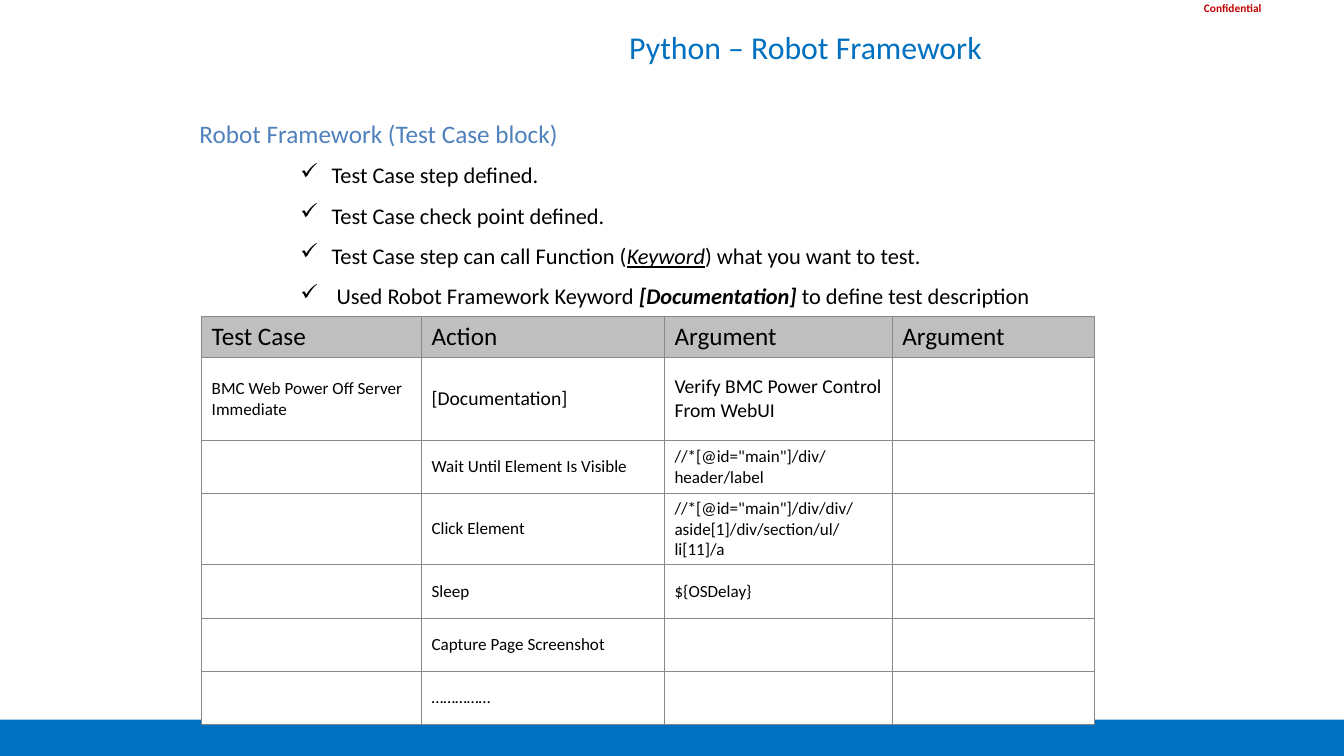
from lxml import etree
from pptx import Presentation
from pptx.dml.color import RGBColor
from pptx.enum.shapes import MSO_SHAPE
from pptx.enum.text import MSO_ANCHOR, PP_ALIGN
from pptx.oxml.ns import qn
from pptx.util import Inches, Pt

RECTANGLE = MSO_SHAPE.RECTANGLE
MIDDLE = MSO_ANCHOR.MIDDLE
CENTER = PP_ALIGN.CENTER
COLORS = {
    "blue": "0070C0",
    "heading": "4F81BD",
    "red": "C00000",
    "black": "000000",
    "white": "FFFFFF",
    "header": "BFBFBF",
    "border": "888888",
}


def rgb(name):
    return RGBColor.from_string(COLORS[name])


def write(paragraph, text, size=12.2, color="black", bold=False, italic=False, underline=False):
    run = paragraph.add_run()
    run.text = text
    font = run.font
    font.name = "Calibri"
    font.size = Pt(size)
    font.color.rgb = rgb(color)
    font.bold = bold
    font.italic = italic
    font.underline = underline


prs = Presentation()
prs.slide_width = Inches(13.33)
prs.slide_height = Inches(7.5)
slide = prs.slides.add_slide(prs.slide_layouts[6])
shapes = slide.shapes

footer = shapes.add_shape(RECTANGLE, Inches(-0.03), Inches(7.14), Inches(13.38), Inches(0.4))
footer.shadow.inherit = False
footer.fill.solid()
footer.fill.fore_color.rgb = rgb("blue")
footer.line.fill.background()

label = shapes.add_textbox(Inches(11.87), Inches(-0.02), Inches(1.41), Inches(0.21)).text_frame
label.word_wrap = True
label.margin_left = label.margin_right = Inches(0.07)
label.margin_top = label.margin_bottom = Inches(0.03)
write(label.paragraphs[0], "Confidential", size=8.1, color="red", bold=True)

body = shapes.add_textbox(Inches(1.88), Inches(0.97), Inches(9.82), Inches(2.17)).text_frame
body.word_wrap = True
heading = body.paragraphs[0]
heading.line_spacing = 1.5
write(heading, "Robot Framework (Test Case block)", size=18, color="heading")

points = [
    [("Test Case step defined.", {})],
    [("Test Case check point defined.", {})],
    [
        ("Test Case step can call Function (", {}),
        ("Keyword", {"italic": True, "underline": True}),
        (") what you want to test.", {}),
    ],
    [
        (" Used Robot Framework Keyword ", {}),
        ("[Documentation] ", {"bold": True, "italic": True}),
        ("to define test description", {}),
    ],
]
for point in points:
    paragraph = body.add_paragraph()
    paragraph.level = 2
    paragraph.line_spacing = 1.5
    properties = paragraph._p.get_or_add_pPr()
    properties.set("marL", str(Inches(1.31)))
    properties.set("indent", str(Inches(-0.31)))
    etree.SubElement(properties, qn("a:buChar"), char="✓")
    for text, style in point:
        write(paragraph, text, size=16, **style)

column_widths = [2.18, 2.41, 2.26, 2]
row_heights = [0.4, 0.83, 0.52, 0.71, 0.53, 0.53, 0.53]
steps = [
    ["Test Case", "Action", "Argument", "Argument"],
    ["BMC Web Power Off Server Immediate", "[Documentation]", "Verify BMC Power Control From WebUI", ""],
    ["", "Wait Until Element Is Visible", '//*[@id="main"]/div/header/label', ""],
    ["", "Click Element", '//*[@id="main"]/div/div/aside[1]/div/section/ul/li[11]/a', ""],
    ["", "Sleep", "${OSDelay}", ""],
    ["", "Capture Page Screenshot", "", ""],
    ["", "……………", "", ""],
]
table = shapes.add_table(
    len(steps), len(column_widths), Inches(2), Inches(3.14),
    Inches(sum(column_widths)), Inches(sum(row_heights)),
).table
table.first_row = False
table.horz_banding = False
for column, width in zip(table.columns, column_widths):
    column.width = Inches(width)
for row, height in zip(table.rows, row_heights):
    row.height = Inches(height)

for r, step in enumerate(steps):
    for c, text in enumerate(step):
        cell = table.cell(r, c)
        cell.vertical_anchor = MIDDLE
        cell_properties = cell._tc.get_or_add_tcPr()
        for side in ("a:lnL", "a:lnR", "a:lnT", "a:lnB"):
            border = etree.SubElement(cell_properties, qn(side), w=str(Pt(0.6)))
            border_fill = etree.SubElement(border, qn("a:solidFill"))
            etree.SubElement(border_fill, qn("a:srgbClr"), val=COLORS["border"])
        cell.fill.solid()
        cell.fill.fore_color.rgb = rgb("header" if r == 0 else "white")
        if text:
            size = 18 if r == 0 else 14 if r == 1 and c > 0 else 12.2
            write(cell.text_frame.paragraphs[0], text, size=size)

title = shapes.add_textbox(Inches(4.55), Inches(0.23), Inches(6.95), Inches(0.47)).text_frame
title.word_wrap = True
title.vertical_anchor = MIDDLE
title.paragraphs[0].alignment = CENTER
write(title.paragraphs[0], "Python – Robot Framework ", size=22.7, color="blue")

prs.save("out.pptx")
